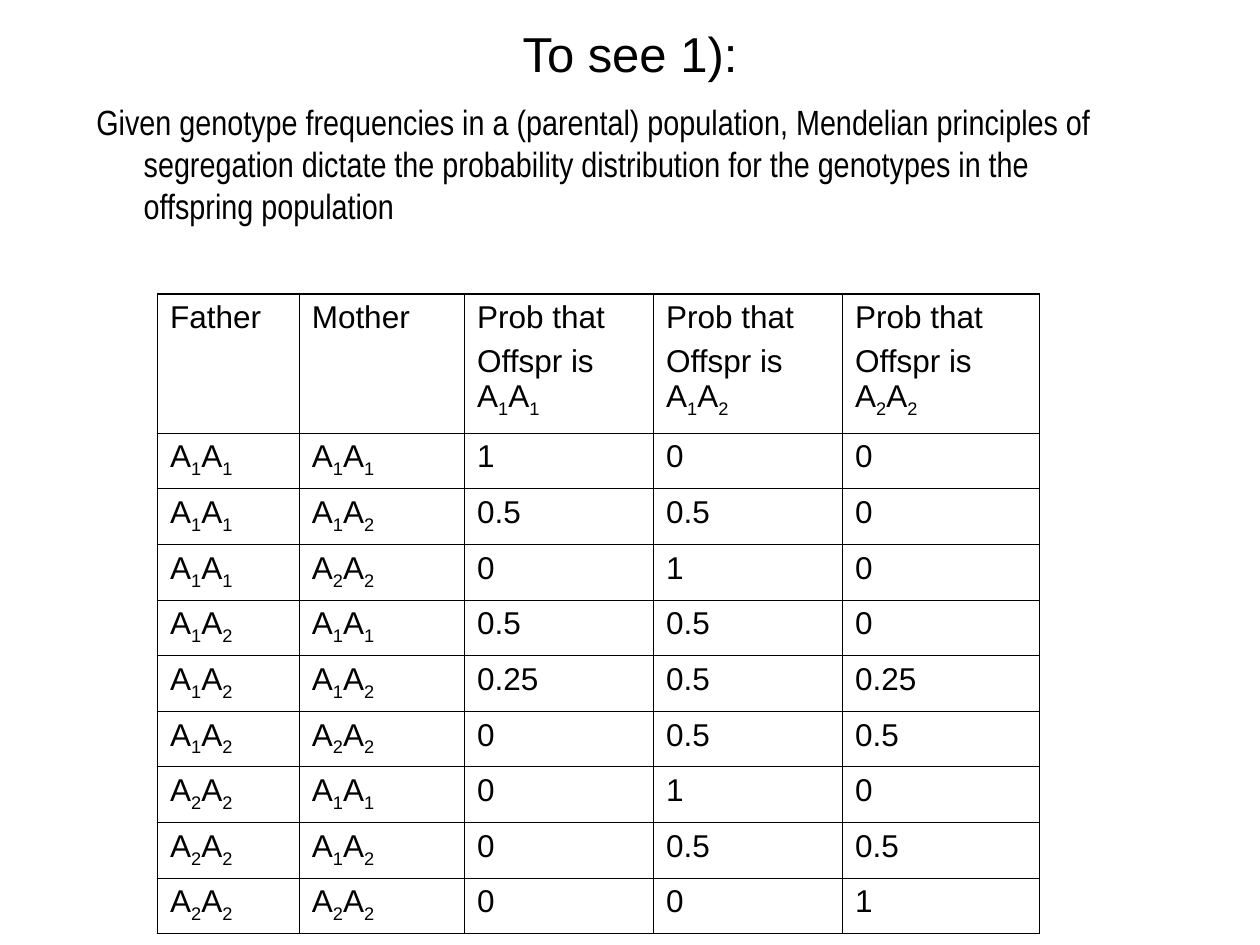
from lxml import etree
from pptx import Presentation
from pptx.dml.color import RGBColor
from pptx.enum import text as text_enum
from pptx.oxml import ns
from pptx.util import Pt

TITLE = "To see 1):"
STATEMENT = (
    "Given genotype frequencies in a (parental) population, Mendelian principles of "
    "segregation dictate the probability distribution for the genotypes in the "
    "offspring population"
)
ROWS = [
    ("Father", "Mother", "Prob that\nOffspr is A_1A_1", "Prob that\nOffspr is A_1A_2", "Prob that\nOffspr is A_2A_2"),
    ("A_1A_1", "A_1A_1", "1", "0", "0"),
    ("A_1A_1", "A_1A_2", "0.5", "0.5", "0"),
    ("A_1A_1", "A_2A_2", "0", "1", "0"),
    ("A_1A_2", "A_1A_1", "0.5", "0.5", "0"),
    ("A_1A_2", "A_1A_2", "0.25", "0.5", "0.25"),
    ("A_1A_2", "A_2A_2", "0", "0.5", "0.5"),
    ("A_2A_2", "A_1A_1", "0", "1", "0"),
    ("A_2A_2", "A_1A_2", "0", "0.5", "0.5"),
    ("A_2A_2", "A_2A_2", "0", "0", "1"),
]
COLUMN_WIDTHS = [81, 94.5, 108, 108, 112.5]
HEADER_HEIGHT, ROW_HEIGHT = 76, 29.2
BLACK = "000000"
OUTER_LINE, INNER_LINE = 1.08, 0.45


def color(value):
    return RGBColor.from_string(value)


def split_subscripts(line):
    first, *others = line.split("_")
    pieces = [(first, False)]
    for other in others:
        pieces += [(other[0], True), (other[1:], False)]
    return [piece for piece in pieces if piece[0]]


def write(frame, content, size=18, font="Arial", before=4.5, align=text_enum.PP_ALIGN.LEFT, hanging=0):
    frame.word_wrap = True
    for index, line in enumerate(content.split("\n")):
        paragraph = frame.paragraphs[0] if index == 0 else frame.add_paragraph()
        paragraph.alignment = align
        paragraph.space_before = Pt(before)
        if hanging:
            properties = paragraph._p.get_or_add_pPr()
            properties.set("marL", str(Pt(hanging)))
            properties.set("indent", str(-Pt(hanging)))
        for piece, is_subscript in split_subscripts(line):
            run = paragraph.add_run()
            run.text = piece
            run.font.name = font
            run.font.size = Pt(size)
            run.font.bold = False
            run.font.color.rgb = color(BLACK)
            if is_subscript:
                run._r.get_or_add_rPr().set("baseline", "-25000")


def add_text(slide, content, left, top, width, height, anchor=text_enum.MSO_ANCHOR.TOP, **text_format):
    box = slide.shapes.add_textbox(Pt(left), Pt(top), Pt(width), Pt(height))
    box.text_frame.vertical_anchor = anchor
    write(box.text_frame, content, **text_format)


def set_borders(cell, widths):
    properties = cell._tc.get_or_add_tcPr()
    for side, width in widths.items():
        line = etree.SubElement(properties, ns.qn(f"a:ln{side}"), w=str(Pt(width)))
        fill = etree.SubElement(line, ns.qn("a:solidFill"))
        etree.SubElement(fill, ns.qn("a:srgbClr"), val=BLACK)


def add_probability_table(slide, left, top):
    last_row, last_column = len(ROWS) - 1, len(COLUMN_WIDTHS) - 1
    heights = [HEADER_HEIGHT] + [ROW_HEIGHT] * last_row
    table = slide.shapes.add_table(
        len(ROWS), len(COLUMN_WIDTHS), Pt(left), Pt(top), Pt(sum(COLUMN_WIDTHS)), Pt(sum(heights))
    ).table
    table.first_row = table.horz_banding = False
    for column, width in zip(table.columns, COLUMN_WIDTHS):
        column.width = Pt(width)
    for row, height in zip(table.rows, heights):
        row.height = Pt(height)
    for r, values in enumerate(ROWS):
        for c, value in enumerate(values):
            cell = table.cell(r, c)
            write(cell.text_frame, value)
            at_edge = {"L": c == 0, "R": c == last_column, "T": r == 0, "B": r == last_row}
            set_borders(cell, {side: OUTER_LINE if edge else INNER_LINE for side, edge in at_edge.items()})
            cell.fill.background()


def main():
    presentation = Presentation()
    presentation.slide_width, presentation.slide_height = Pt(720), Pt(540)
    slide = presentation.slides.add_slide(presentation.slide_layouts[6])
    add_text(slide, TITLE, 30, 12, 660, 36, anchor=text_enum.MSO_ANCHOR.MIDDLE,
             size=28, before=0, align=text_enum.PP_ALIGN.CENTER)
    add_text(slide, STATEMENT, 48, 54, 600, 174, size=20, font="Arial Narrow", before=5, hanging=27)
    add_probability_table(slide, 90, 168)
    presentation.save("out.pptx")


if __name__ == "__main__":
    main()
